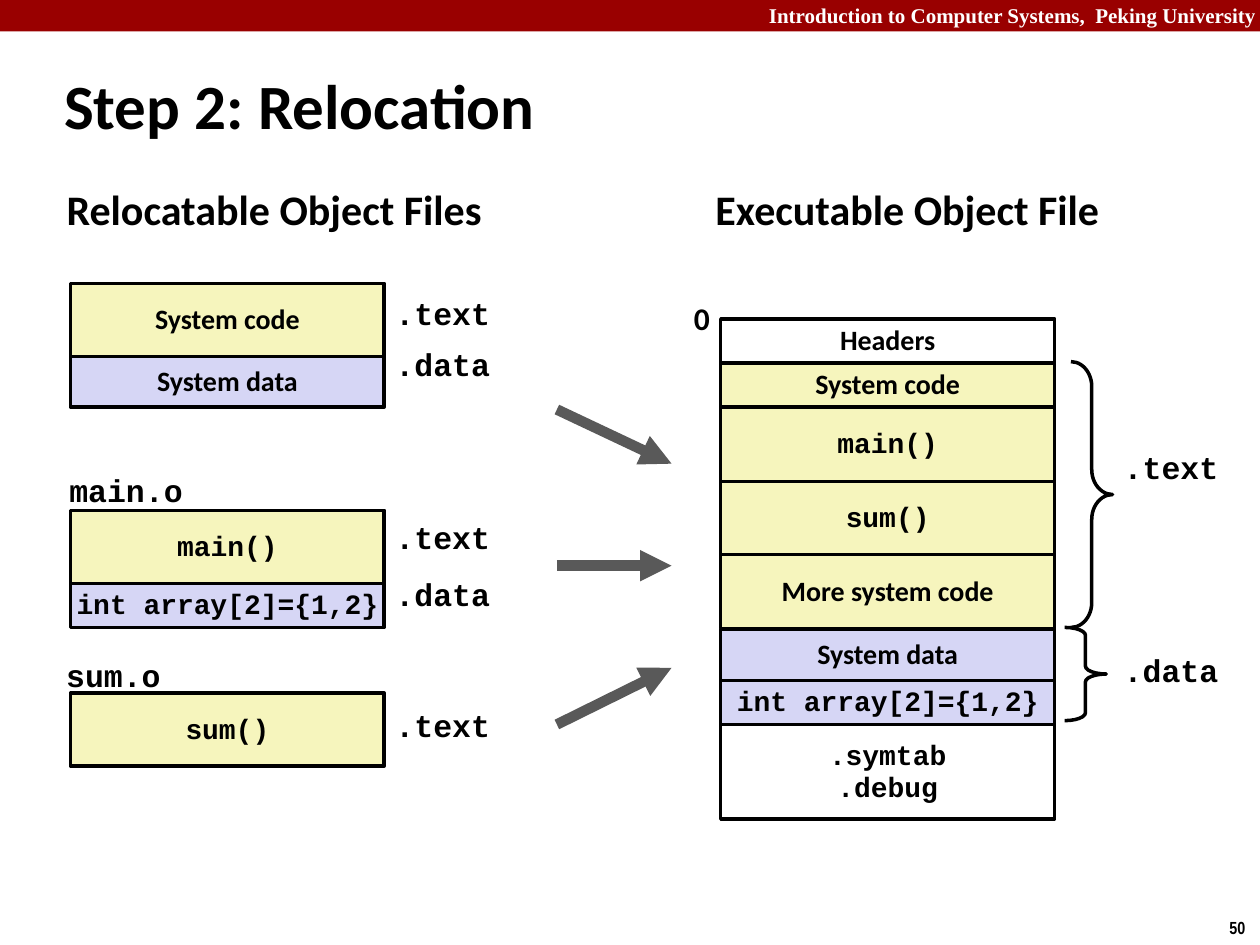
from lxml import etree
from pptx import Presentation
from pptx.dml.color import RGBColor
from pptx.enum.shapes import MSO_CONNECTOR, MSO_SHAPE
from pptx.enum.text import MSO_ANCHOR, MSO_AUTO_SIZE, PP_ALIGN
from pptx.oxml.ns import qn
from pptx.util import Inches, Pt

RECT, BRACE = MSO_SHAPE.RECTANGLE, MSO_SHAPE.RIGHT_BRACE
LINE = MSO_CONNECTOR.STRAIGHT
LEFT, MID, RIGHT = PP_ALIGN.LEFT, PP_ALIGN.CENTER, PP_ALIGN.RIGHT
TOP, CORE = MSO_ANCHOR.TOP, MSO_ANCHOR.MIDDLE
GROW = MSO_AUTO_SIZE.SHAPE_TO_FIT_TEXT
SANS, CODE = "Calibri", "Courier New"
BLACK, WHITE, RED, GREY = "000000", "FFFFFF", "990000", "595959"
SAND, LILAC = "F6F5BD", "D6D6F5"


def tint(code):
    """Turn a hex string into a colour."""
    return RGBColor.from_string(code)


def write(frame, text, size=16, font=SANS, color=BLACK, align=LEFT,
          anchor=TOP, wrap=False, space=None):
    """Fill a text frame with bold lines in one format."""
    frame.word_wrap = wrap
    frame.vertical_anchor = anchor
    for i, line in enumerate(text.split("\n")):
        para = frame.add_paragraph() if i else frame.paragraphs[0]
        para.alignment = align
        para.line_spacing = space or (0.94 if font == CODE else 0.98)
        run = para.add_run()
        run.text = line
        face = run.font
        face.name, face.size, face.bold = font, Pt(size), True
        face.color.rgb = tint(color)


class Deck:
    """Hold the style and the current slide."""

    def __init__(self):
        """Start a deck with one blank slide."""
        self.show = Presentation()
        self.show.slide_width, self.show.slide_height = Inches(10), Inches(7.5)
        self.slide = self.show.slides.add_slide(self.show.slide_layouts[6])
        self.shapes = self.slide.shapes
        self.edge = Pt(2)

    def shape(self, kind, box, fill=None, line=BLACK):
        """Add a preset shape with plain fill and line."""
        item = self.shapes.add_shape(kind, *map(Inches, box))
        item.shadow.inherit = False
        if fill:
            item.fill.solid()
            item.fill.fore_color.rgb = tint(fill)
        else:
            item.fill.background()
        if line:
            item.line.color.rgb = tint(line)
            item.line.width = self.edge
        else:
            item.line.fill.background()
        return item

    def label(self, text, box, grow=True, **form):
        """Add a text box."""
        frame = self.shapes.add_textbox(*map(Inches, box)).text_frame
        write(frame, text, **form)
        frame.auto_size = GROW if grow else MSO_AUTO_SIZE.NONE

    def stack(self, left, top, width, rows):
        """Pile up boxes downward from a top edge."""
        for text, high, fill, font in rows:
            item = self.shape(RECT, (left, top, width, high), fill)
            write(item.text_frame, text, font=font, align=MID, anchor=CORE)
            top += high

    def brace(self, box, curve):
        """Add a right brace with a given curve."""
        self.shape(BRACE, box).adjustments[0] = curve

    def arrow(self, start, end):
        """Add a thick arrow."""
        item = self.shapes.add_connector(LINE, *map(Inches, start + end))
        item.line.color.rgb = tint(GREY)
        item.line.width = Pt(6)
        stroke = item.line._get_or_add_ln()
        etree.SubElement(stroke, qn("a:tailEnd"), type="triangle")
        etree.SubElement(item._element.spPr, qn("a:effectLst"))


def main():
    """Build the slide and save it."""
    deck = Deck()
    deck.shape(RECT, (0, 0, 10, 0.25), RED, None)
    deck.label("Introduction to Computer Systems,  Peking University",
               (6, -0.03, 4.07, 0.3), size=12, font="Times New Roman",
               color=WHITE, align=RIGHT, wrap=True, space=1)
    deck.label("50", (9.66, 7.23, 0.34, 0.27), size=10,
               font="Arial Narrow", space=1)
    deck.label("Step 2: Relocation", (0.41, 0.51, 8.31, 0.63), grow=False,
               size=36, anchor=CORE, wrap=True, space=1)

    for text, left, width in (("Relocatable Object Files", 0.43, 3.53),
                              ("Executable Object File", 5.58, 3.28)):
        deck.label(text, (left, 1.43, width, 0.5), size=24)

    array = ("int array[2]={1,2}", 0.35, LILAC, CODE)
    files = (
        (2.25, (("System code", 0.58, SAND, SANS),
                ("System data", 0.4, LILAC, SANS))),
        (4.05, (("main()", 0.58, SAND, CODE), array)),
        (5.5, (("sum()", 0.58, SAND, CODE),)),
    )
    for top, rows in files:
        deck.stack(0.56, top, 2.49, rows)
    deck.stack(5.72, 2.53, 2.65, (
        ("Headers", 0.35, WHITE, SANS),
        ("System code", 0.35, SAND, SANS),
        ("main()", 0.59, SAND, CODE),
        ("sum()", 0.58, SAND, CODE),
        ("More system code", 0.59, SAND, SANS),
        ("System data", 0.41, LILAC, SANS),
        array,
        (".symtab\n.debug", 0.75, WHITE, CODE),
    ))

    deck.label("main.o", (0.45, 3.71, 1.1, 0.39), size=18, font=CODE, align=MID)
    deck.label("sum.o", (0.42, 5.18, 0.96, 0.39), size=18, font=CODE, align=MID)
    for text, left, tops in ((".text", 3.04, (2.31, 4.09, 5.58)),
                             (".data", 3.04, (2.71, 4.54)),
                             (".text", 8.82, (3.53,)),
                             (".data", 8.82, (5.14,))):
        for top in tops:
            deck.label(text, (left, top, 0.95, 0.39), size=18, font=CODE)
    deck.label("0", (5.41, 2.34, 0.34, 0.4), size=18)

    deck.brace((8.5, 2.87, 0.33, 2.11), 0.6)
    deck.brace((8.45, 4.98, 0.33, 0.74), 0.19)
    for start, end in ((3.25, 3.68), (4.49, 4.49), (5.75, 5.3)):
        deck.arrow((4.42, start), (5.33, end))
    deck.show.save("out.pptx")


if __name__ == "__main__":
    main()
